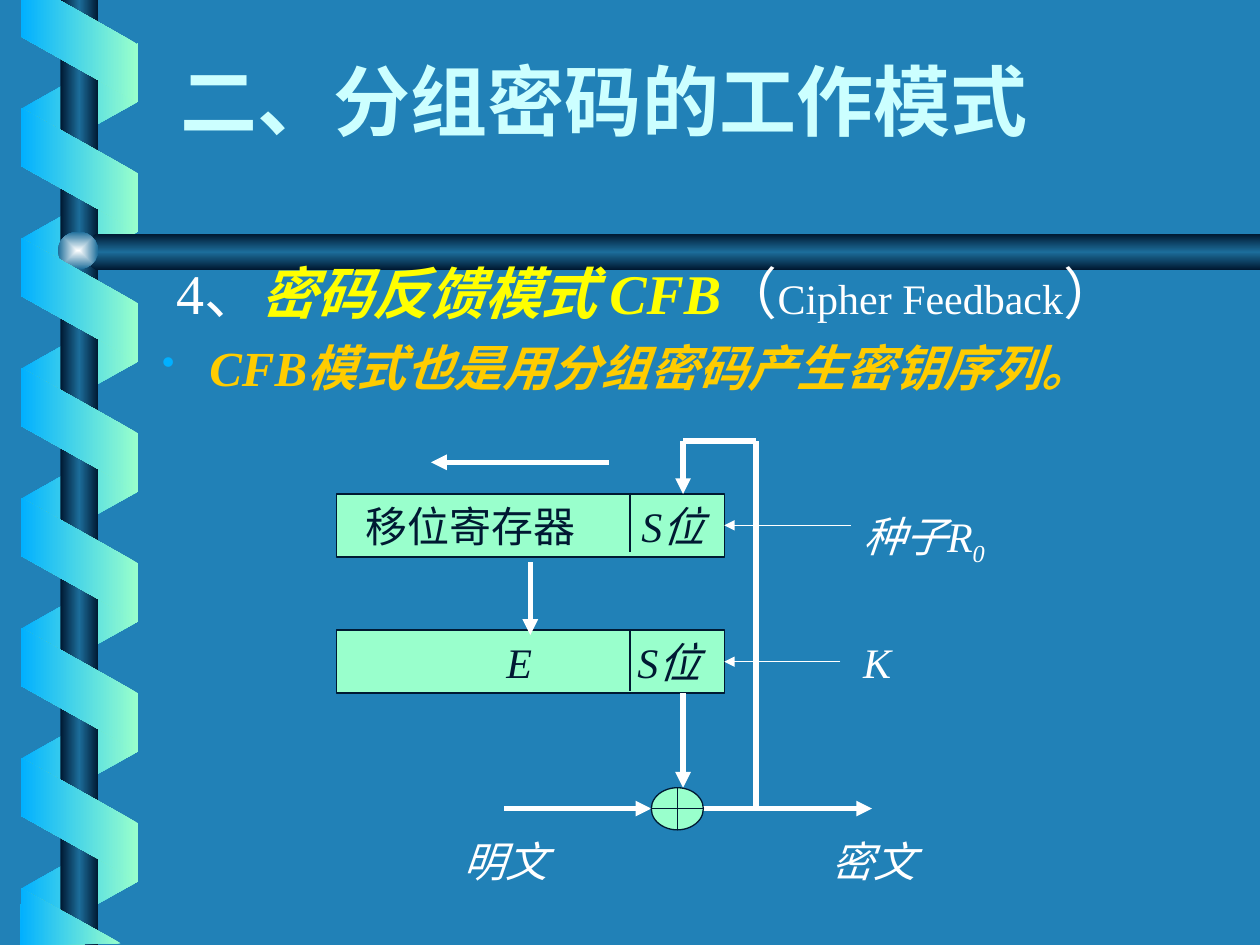
"""Build the slide on the cipher feedback mode of block ciphers."""
from lxml import etree
from pptx import Presentation
from pptx.dml.color import RGBColor
from pptx.enum.shapes import MSO_CONNECTOR, MSO_SHAPE
from pptx.enum.text import MSO_ANCHOR
from pptx.oxml import parse_xml
from pptx.oxml.ns import nsdecls, qn
from pptx.util import Cm, Pt

STRAIGHT = MSO_CONNECTOR.STRAIGHT
RECT, OVAL = MSO_SHAPE.RECTANGLE, MSO_SHAPE.OVAL
SLANT, XOR = MSO_SHAPE.PARALLELOGRAM, MSO_SHAPE.FLOWCHART_OR
TOP, MIDDLE, BOTTOM = MSO_ANCHOR.TOP, MSO_ANCHOR.MIDDLE, MSO_ANCHOR.BOTTOM

BACK = RGBColor(0x21, 0x81, 0xB7)
SKY = RGBColor(0x01, 0xB0, 0xFF)
MINT = RGBColor(0x99, 0xFF, 0xCC)
NAVY = RGBColor(0x00, 0x19, 0x32)
STEEL = RGBColor(0x1C, 0x6D, 0x9A)
PEARL = RGBColor(0xFE, 0xFF, 0xFF)
WHITE = RGBColor(0xFF, 0xFF, 0xFF)
ICE = RGBColor(0xCC, 0xFF, 0xFF)
YELLOW = RGBColor(0xFF, 0xFF, 0x00)
GOLD = RGBColor(0xFF, 0xCC, 0x00)
ROMAN, NARROW = "Times New Roman", "Arial Narrow"

TITLE = {"size": Pt(44), "bold": True, "name": ROMAN}
HEAD = {"size": Pt(32), "name": ROMAN}
KEY = {**HEAD, "bold": True, "italic": True}
POINT = {**KEY, "size": Pt(28)}
PLAIN = {"size": Pt(24), "name": ROMAN}
SLOPE = {**PLAIN, "italic": True}

TEXTS = [
    ((3.38, 1.17, 18.21, 1.9), BOTTOM, [
        ("二、分组密码", {**TITLE, "name": NARROW}, ICE),
        ("的工作模式", TITLE, ICE)]),
    ((3.02, 5.08, 21.33, 1.8), TOP, [
        ("4、", HEAD, WHITE), ("密码反馈模式 CFB", KEY, YELLOW),
        ("（", HEAD, WHITE), ("Cipher Feedback", PLAIN, WHITE),
        ("）", HEAD, WHITE)]),
    ((9.09, 16.71, 2.54, 1.27), TOP, [("明文", SLOPE, WHITE)]),
    ((16.51, 16.71, 2.54, 1.27), TOP, [("密文", SLOPE, WHITE)]),
    ((17.15, 10.16, 4.65, 1.42), TOP, [
        ("种子R", SLOPE, WHITE), ("0", SLOPE, WHITE)]),
    ((17.15, 12.7, 2.97, 1.27), TOP, [("K", SLOPE, WHITE)]),
]
POINTS = [("CFB模式也是用分组密码产生密钥序列。", POINT, GOLD)]
BOXES = [
    (9.96, (0.58, 6.15), [("\t移位寄存器", PLAIN, NAVY),
                          ("\tS位", SLOPE, NAVY)]),
    (12.7, (3.43, 6.07), [("\tE\tS位", SLOPE, NAVY)]),
]
LINES = [
    (13.77, 13.97, 13.77, 15.88, WHITE, 3, True),
    (15.24, 8.89, 15.24, 16.3, WHITE, 3, False),
    (13.77, 8.89, 13.77, 9.96, WHITE, 3, True),
    (13.77, 8.89, 15.24, 8.89, WHITE, 3, False),
    (10.16, 16.3, 13.13, 16.3, WHITE, 3, True),
    (14.18, 16.3, 17.58, 16.3, WHITE, 3, True),
    (17.15, 10.59, 14.6, 10.59, WHITE, 0.75, True),
    (16.94, 13.34, 14.6, 13.34, WHITE, 0.75, True),
    (12.27, 9.32, 8.69, 9.32, WHITE, 3, True),
    (12.7, 12.73, 12.7, 13.92, NAVY, 0.75, False),
    (12.7, 9.93, 12.7, 11.13, NAVY, 0.75, False),
    (10.69, 11.33, 10.69, 12.8, WHITE, 3, True),
]
BAR = [(25.4, 4.72), (1.93, 4.72), (1.52, 5.08), (1.93, 5.44), (25.4, 5.44)]
CAPS = [
    [(0.43, 0), (0.43, 0.74), (2.77, 2.06), (2.77, 0.89), (1.19, 0)],
    [(2.44, 19.02), (0.43, 17.91), (0.41, 19.05)],
]
PITCH = 2.62
DARK = [NAVY, STEEL, NAVY]


def blend(shape, tints, way):
    last = len(tints) - 1
    stops = "".join(
        f'<a:gs pos="{100000 * i // last}"><a:srgbClr val="{tint}"/></a:gs>'
        for i, tint in enumerate(tints))
    shape.fill.background()
    blank = shape._element.spPr.find(qn("a:noFill"))
    blank.getparent().replace(blank, parse_xml(
        f'<a:gradFill {nsdecls("a")} rotWithShape="0">'
        f'<a:gsLst>{stops}</a:gsLst>{way}</a:gradFill>'))
    shape.line.fill.background()
    shape.shadow.inherit = False


def slant(angle):
    return f'<a:lin ang="{angle * 60000}" scaled="0"/>'


def place(shapes, kind, *area):
    shape = shapes.add_shape(kind, *map(Cm, area))
    shape.shadow.inherit = False
    return shape


def outline(shapes, spots, tints, angle):
    spots = [(Cm(x), Cm(y)) for x, y in spots]
    build = shapes.build_freeform(*spots[0], scale=1.0)
    build.add_line_segments(spots[1:], close=True)
    blend(build.convert_to_shape(), tints, slant(angle))


def coil(shapes, top, count, turn, flip, tints):
    for i in range(count):
        band = place(shapes, SLANT, 0.36, top + i * PITCH, 2.49, 2.36)
        band.adjustments[0] = 0.56
        band.rotation = turn
        if flip:
            band._element.spPr.xfrm.set("flipH", "1")
        blend(band, tints, slant(180))


def fill(para, runs):
    for words, style, tint in runs:
        run = para.add_run()
        run.text = words
        for name, value in style.items():
            setattr(run.font, name, value)
        run.font.color.rgb = tint


def write(shapes, area, anchor, runs):
    frame = shapes.add_textbox(*map(Cm, area)).text_frame
    frame.word_wrap = True
    frame.vertical_anchor = anchor
    fill(frame.paragraphs[0], runs)
    return frame


def mark(para):
    props = para._p.get_or_add_pPr()
    props.set("marL", str(Cm(0.95)))
    props.set("indent", str(-Cm(0.95)))
    para.space_before = Pt(7)
    tint = etree.SubElement(props, qn("a:buClr"))
    etree.SubElement(tint, qn("a:srgbClr"), val=str(SKY))
    etree.SubElement(props, qn("a:buSzPct"), val="75000")
    etree.SubElement(props, qn("a:buChar"), char="•")


def box(shapes, top, tabs, runs):
    shape = place(shapes, RECT, 6.78, top, 7.82, 1.27)
    paint(shape)
    frame = shape.text_frame
    frame.word_wrap = True
    frame.vertical_anchor = MIDDLE
    frame.margin_left = frame.margin_right = 0
    props = frame.paragraphs[0]._p.get_or_add_pPr()
    props.set("algn", "l")
    stops = etree.SubElement(props, qn("a:tabLst"))
    for tab in tabs:
        etree.SubElement(stops, qn("a:tab"), pos=str(Cm(tab)), algn="l")
    fill(frame.paragraphs[0], runs)


def paint(shape):
    shape.fill.solid()
    shape.fill.fore_color.rgb = MINT
    shape.line.color.rgb = NAVY
    shape.line.width = Pt(0.75)


def link(shapes, x1, y1, x2, y2, tint, width, arrow):
    wire = shapes.add_connector(STRAIGHT, *map(Cm, (x1, y1, x2, y2)))
    wire.line.color.rgb = tint
    wire.line.width = Pt(width)
    if arrow:
        etree.SubElement(wire.line._get_or_add_ln(), qn("a:tailEnd"),
                         type="triangle")
    etree.SubElement(wire._element.spPr, qn("a:effectLst"))


def main():
    deck = Presentation()
    deck.slide_width, deck.slide_height = Cm(25.4), Cm(19.05)
    slide = deck.slides.add_slide(deck.slide_layouts[6])
    slide.background.fill.solid()
    slide.background.fill.fore_color.rgb = BACK
    shapes = slide.shapes

    coil(shapes, 0.94, 7, 90, True, [SKY, MINT])
    blend(place(shapes, RECT, 1.22, 0, 0.76, 19.05), DARK, slant(180))
    outline(shapes, BAR, DARK, 90)
    blend(place(shapes, OVAL, 1.17, 4.67, 0.81, 0.76), [PEARL, STEEL],
          '<a:path path="rect"><a:fillToRect l="50000" t="50000" '
          'r="50000" b="50000"/></a:path>')
    coil(shapes, 2.24, 6, 270, False, [MINT, SKY])
    for cap in CAPS:
        outline(shapes, cap, [MINT, SKY], 180)

    frames = [write(shapes, *text) for text in TEXTS]
    frames[1].paragraphs[0]._p.get_or_add_pPr().set("marL", str(Cm(0.28)))
    point = frames[1].add_paragraph()
    mark(point)
    fill(point, POINTS)
    index = frames[4].paragraphs[0].runs[1]
    index.font._element.set("baseline", "-25000")

    for row in BOXES:
        box(shapes, *row)
    for line in LINES:
        link(shapes, *line)
    paint(place(shapes, XOR, 13.13, 15.88, 1.05, 0.85))
    deck.save("out.pptx")


if __name__ == "__main__":
    main()
